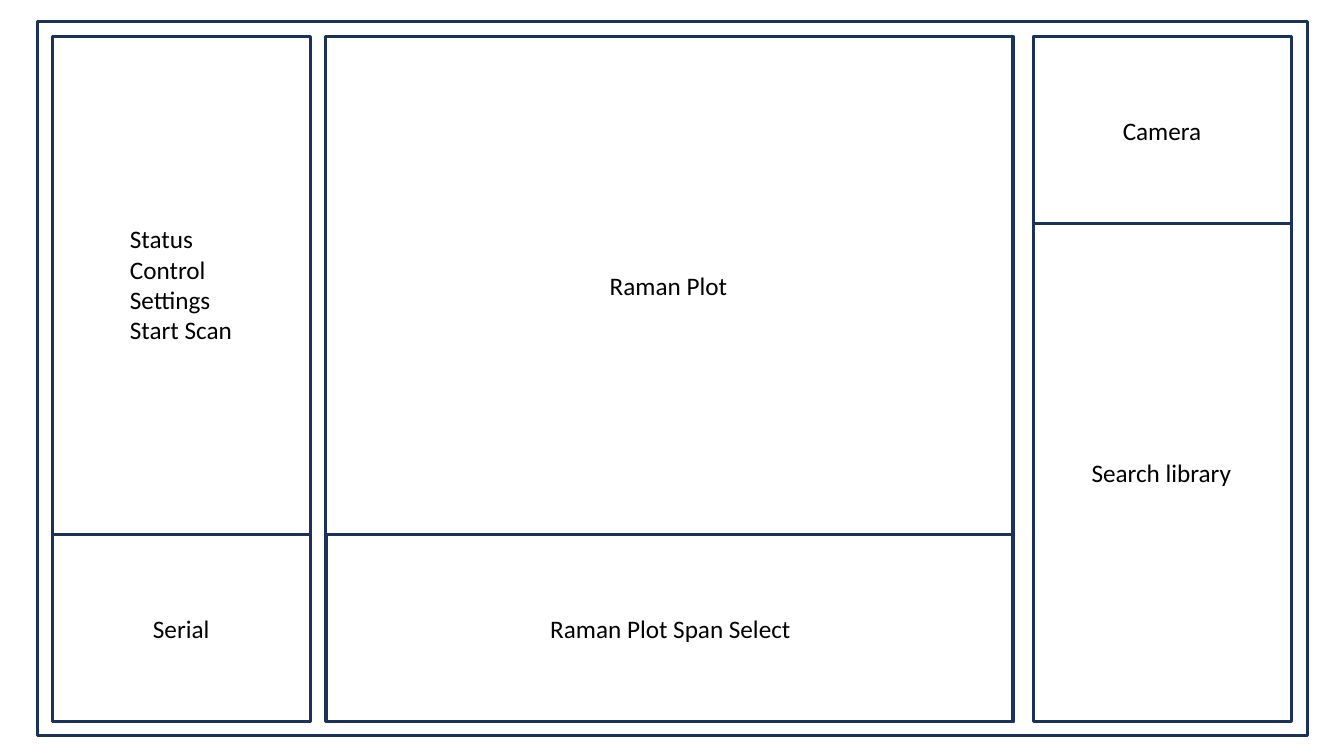
"""Build the window layout sketch of a Raman spectroscopy program."""

from dataclasses import dataclass

import pptx
import pptx.dml.color
import pptx.enum.shapes
import pptx.enum.text
import pptx.slide
import pptx.util

COLOURS = {"outline": "1E3256", "text": "000000"}
FONT_NAME = "Calibri"
FONT_SIZE = 18
LINE_WIDTH = 2.25

PANEL_TOP = 25.9
PANEL_HEIGHT = 489.6
SIDE_WIDTH = 184.3
SMALL_HEIGHT = 133.9
LOWER_TOP = PANEL_TOP + PANEL_HEIGHT - SMALL_HEIGHT
LEFT_COLUMN = 37.4
PLOT_COLUMN = 232.6
RIGHT_COLUMN = 738
LABEL_HEIGHT = 29


@dataclass(frozen=True)
class Panel:
    left: float
    top: float
    width: float
    height: float


@dataclass(frozen=True)
class Label:
    text: str
    left: float
    top: float
    width: float
    height: float = LABEL_HEIGHT


PANELS = [
    Panel(26.6, 15.1, 907.2, 510.5),
    Panel(RIGHT_COLUMN, PANEL_TOP, SIDE_WIDTH, PANEL_HEIGHT),
    Panel(RIGHT_COLUMN, PANEL_TOP, SIDE_WIDTH, SMALL_HEIGHT),
    Panel(PLOT_COLUMN, PANEL_TOP, 491, PANEL_HEIGHT),
    Panel(LEFT_COLUMN, PANEL_TOP, SIDE_WIDTH, PANEL_HEIGHT),
    Panel(PLOT_COLUMN + 0.7, LOWER_TOP, 490.3, SMALL_HEIGHT),
    Panel(LEFT_COLUMN, LOWER_TOP, SIDE_WIDTH, SMALL_HEIGHT),
]

LABELS = [
    Label("Raman Plot", 428.4, 189.4, 99.4),
    Label("Status\nControl\nSettings\nStart Scan", 85.7, 156.2, 87.8, 94.3),
    Label("Serial", 102.2, 434.2, 55.4),
    Label("Raman Plot Span Select", 385.9, 434.2, 187.9),
    Label("Camera", 794.9, 78.5, 71.3),
    Label("Search library", 772.6, 323.3, 115.2),
]


def colour(name: str) -> pptx.dml.color.RGBColor:
    """Return the named colour."""
    return pptx.dml.color.RGBColor.from_string(COLOURS[name])


def draw_panel(slide: pptx.slide.Slide, panel: Panel) -> None:
    """Draw one outlined, unfilled rectangle."""
    shape = slide.shapes.add_shape(
        pptx.enum.shapes.MSO_SHAPE.RECTANGLE,
        pptx.util.Pt(panel.left),
        pptx.util.Pt(panel.top),
        pptx.util.Pt(panel.width),
        pptx.util.Pt(panel.height),
    )
    shape.shadow.inherit = False
    shape.fill.background()
    shape.line.color.rgb = colour("outline")
    shape.line.width = pptx.util.Pt(LINE_WIDTH)


def draw_label(slide: pptx.slide.Slide, label: Label) -> None:
    """Write one label, with a paragraph for each line of its text."""
    shape = slide.shapes.add_textbox(
        pptx.util.Pt(label.left),
        pptx.util.Pt(label.top),
        pptx.util.Pt(label.width),
        pptx.util.Pt(label.height),
    )
    text_frame = shape.text_frame
    text_frame.text = label.text
    text_frame.word_wrap = False
    text_frame.auto_size = pptx.enum.text.MSO_AUTO_SIZE.SHAPE_TO_FIT_TEXT
    for paragraph in text_frame.paragraphs:
        for run in paragraph.runs:
            run.font.name = FONT_NAME
            run.font.size = pptx.util.Pt(FONT_SIZE)
            run.font.color.rgb = colour("text")


def main() -> None:
    """Create the presentation and save it."""
    presentation = pptx.Presentation()
    presentation.slide_width = pptx.util.Pt(960)
    presentation.slide_height = pptx.util.Pt(540)
    slide = presentation.slides.add_slide(presentation.slide_layouts[6])
    for panel in PANELS:
        draw_panel(slide, panel)
    for label in LABELS:
        draw_label(slide, label)
    presentation.save("out.pptx")


if __name__ == "__main__":
    main()
